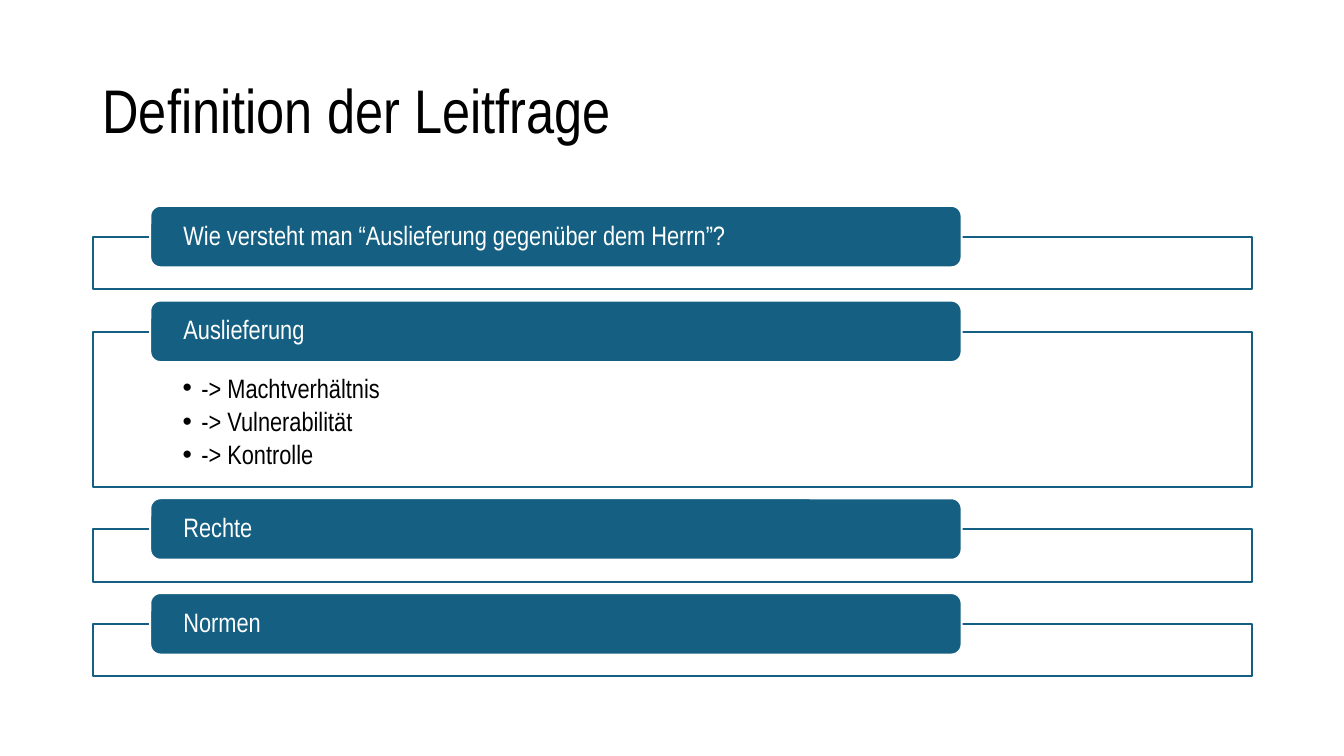
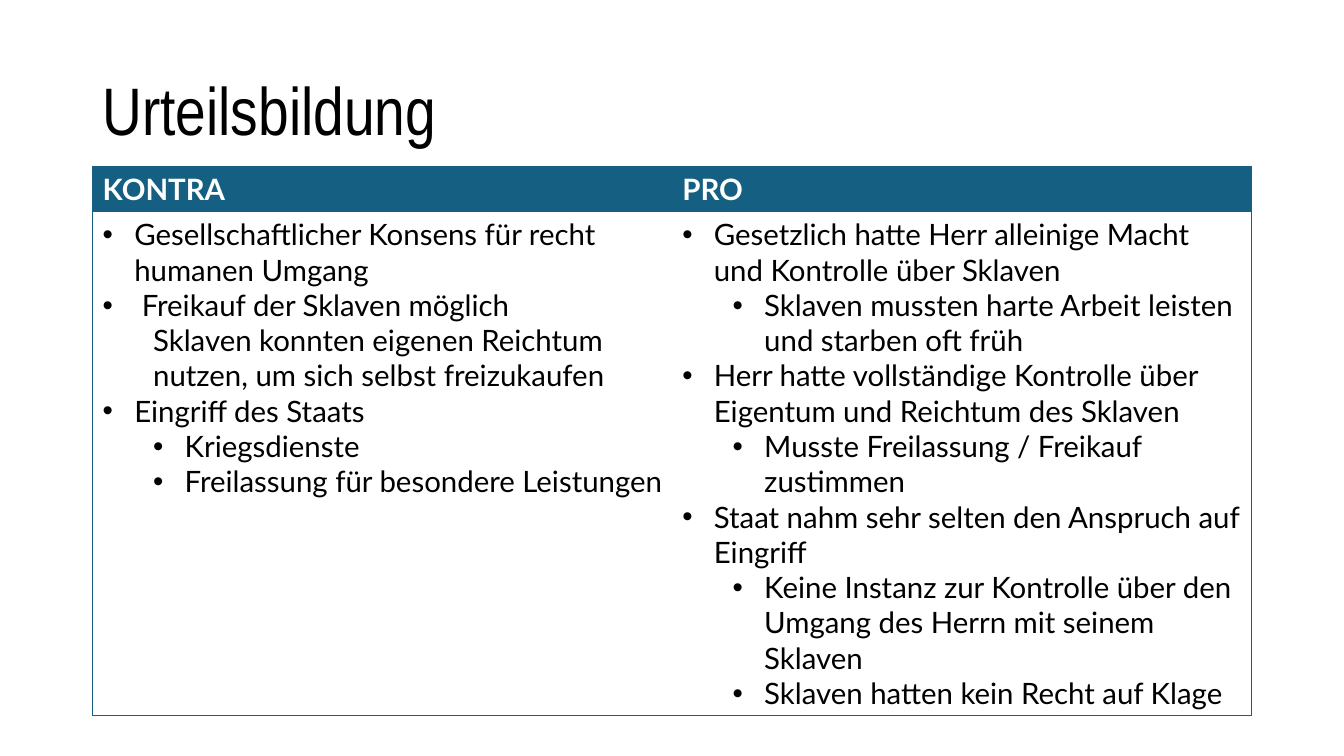
from lxml.etree import SubElement
from pptx import Presentation
from pptx.dml.color import RGBColor
from pptx.enum.shapes import MSO_SHAPE
from pptx.enum.text import MSO_ANCHOR, PP_ALIGN
from pptx.oxml.ns import qn
from pptx.util import Pt

TEAL = RGBColor(0x15, 0x60, 0x82)
WHITE = RGBColor(0xFF, 0xFF, 0xFF)
BLACK = RGBColor(0, 0, 0)
NARROW, LATO = "Arial Narrow", "Lato"

LEFT, WIDTH = 66.2, 828
TITLE_TOP, TITLE_H = 28.8, 104.4

QUESTION_TITLE = ("Definition der Leitfrage", 44)
VERDICT_TITLE = ("Urteilsbildung", 48)

SECTIONS = [
    ("Wie versteht man “Auslieferung gegenüber dem Herrn”?", []),
    ("Auslieferung", ["-> Machtverhältnis", "-> Vulnerabilität", "-> Kontrolle"]),
    ("Rechte", []),
    ("Normen", []),
]
FRAME_TOP, FRAME_H, FRAME_TALL, FRAME_GAP = 169.2, 37.4, 110.9, 30.3
BAR_LEFT, BAR_W, BAR_H, BAR_RISE = 107.3, 579.6, 44, 22.2

POINT = dict(margin=22.5, indent=-22.5, bullet="•")
SUBPOINT = dict(margin=58.5, indent=-22.5, bullet="•", level=1)
PLAIN = dict(margin=36, level=1)
ARGUMENTS = {
    "KONTRA": [
        (POINT, "Gesellschaftlicher Konsens für recht humanen Umgang"),
        (POINT, " Freikauf der Sklaven möglich"),
        (PLAIN, "Sklaven konnten eigenen Reichtum nutzen, um sich selbst freizukaufen"),
        (POINT, "Eingriff des Staats"),
        (SUBPOINT, "Kriegsdienste"),
        (SUBPOINT, "Freilassung für besondere Leistungen"),
    ],
    "PRO": [
        (POINT, "Gesetzlich hatte Herr alleinige Macht und Kontrolle über Sklaven"),
        (SUBPOINT, "Sklaven mussten harte Arbeit leisten und starben oft früh"),
        (POINT, "Herr hatte vollständige Kontrolle über Eigentum und Reichtum des Sklaven"),
        (SUBPOINT, "Musste Freilassung / Freikauf zustimmen"),
        (POINT, "Staat nahm sehr selten den Anspruch auf Eingriff"),
        (SUBPOINT, "Keine Instanz zur Kontrolle über den Umgang des Herrn mit seinem Sklaven"),
        (SUBPOINT, "Sklaven hatten kein Recht auf Klage"),
    ],
}
TABLE_TOP, ROW_HEIGHTS = 118.8, (32.4, 360)


def write(tf, text, size=19, color=BLACK, font=NARROW, bold=False, spacing=0.9,
          after=0, margin=0, indent=0, bullet=None, level=0):
    p = tf.paragraphs[0] if not tf.text else tf.add_paragraph()
    p.alignment = PP_ALIGN.LEFT
    p.level = level
    p.line_spacing = spacing
    p.space_after = Pt(after)
    pPr = p._p.get_or_add_pPr()
    pPr.set("marL", str(Pt(margin)))
    pPr.set("indent", str(Pt(indent)))
    if bullet:
        SubElement(pPr, qn("a:buFont"), typeface="Arial")
        SubElement(pPr, qn("a:buChar"), char=bullet)
    r = p.add_run()
    r.text = text
    r.font.size = Pt(size)
    r.font.name = font
    r.font.bold = bold
    r.font.color.rgb = color


def set_frame(tf, anchor, left, top, right, bottom):
    tf.word_wrap = True
    tf.vertical_anchor = anchor
    tf.margin_left, tf.margin_top = Pt(left), Pt(top)
    tf.margin_right, tf.margin_bottom = Pt(right), Pt(bottom)


def add_titled_slide(prs, title, size):
    s = prs.slides.add_slide(prs.slide_layouts[6])
    box = s.shapes.add_textbox(Pt(LEFT), Pt(TITLE_TOP), Pt(WIDTH), Pt(TITLE_H))
    set_frame(box.text_frame, MSO_ANCHOR.MIDDLE, 7.2, 3.6, 7.2, 3.6)
    write(box.text_frame, title, size=size)
    return s


def add_box(s, kind, left, top, width, height, fill, line):
    sp = s.shapes.add_shape(kind, Pt(left), Pt(top), Pt(width), Pt(height))
    sp.shadow.inherit = False
    sp.fill.solid()
    sp.fill.fore_color.rgb = fill
    sp.line.color.rgb = line
    sp.line.width = Pt(1.5)
    return sp


def add_sections(s):
    top = FRAME_TOP
    for heading, items in SECTIONS:
        height = FRAME_TALL if items else FRAME_H
        frame = add_box(s, MSO_SHAPE.RECTANGLE, LEFT, top, WIDTH, height, WHITE, TEAL)
        if items:
            set_frame(frame.text_frame, MSO_ANCHOR.TOP, 64.2, 31, 64.2, 10.8)
        for item in items:
            write(frame.text_frame, item, after=3.3, margin=13.5, indent=-13.5,
                  bullet="•", level=1)
        bar = add_box(s, MSO_SHAPE.ROUNDED_RECTANGLE, BAR_LEFT, top - BAR_RISE,
                      BAR_W, BAR_H, TEAL, WHITE)
        set_frame(bar.text_frame, MSO_ANCHOR.MIDDLE, 21.6, 0, 21.6, 0)
        write(bar.text_frame, heading, color=WHITE)
        top += height + FRAME_GAP


def set_cell(cell, fill, sides):
    tcPr = cell._tc.get_or_add_tcPr()
    for side in "LRTB":
        ln = SubElement(tcPr, qn("a:ln" + side), w=str(Pt(1)))
        if side in sides:
            solid = SubElement(ln, qn("a:solidFill"))
            SubElement(solid, qn("a:srgbClr"), val=str(TEAL))
        else:
            SubElement(ln, qn("a:noFill"))
    cell.fill.solid()
    cell.fill.fore_color.rgb = fill


def add_arguments(s):
    table = s.shapes.add_table(2, len(ARGUMENTS), Pt(LEFT), Pt(TABLE_TOP),
                               Pt(WIDTH), Pt(sum(ROW_HEIGHTS))).table
    table.horz_banding = False
    for row, height in zip(table.rows, ROW_HEIGHTS):
        row.height = Pt(height)
    for col, (side, (heading, points)) in enumerate(zip("LR", ARGUMENTS.items())):
        head, body = table.cell(0, col), table.cell(1, col)
        set_cell(head, TEAL, side + "T")
        set_cell(body, WHITE, side + "TB")
        write(head.text_frame, heading, size=21, color=WHITE, font=LATO, bold=True, spacing=1.0)
        for style, text in points:
            write(body.text_frame, text, size=21, font=LATO, spacing=1.0, **style)


def main():
    prs = Presentation()
    prs.slide_width, prs.slide_height = Pt(960), Pt(540)
    add_sections(add_titled_slide(prs, *QUESTION_TITLE))
    add_arguments(add_titled_slide(prs, *VERDICT_TITLE))
    prs.save("out.pptx")


if __name__ == "__main__":
    main()
